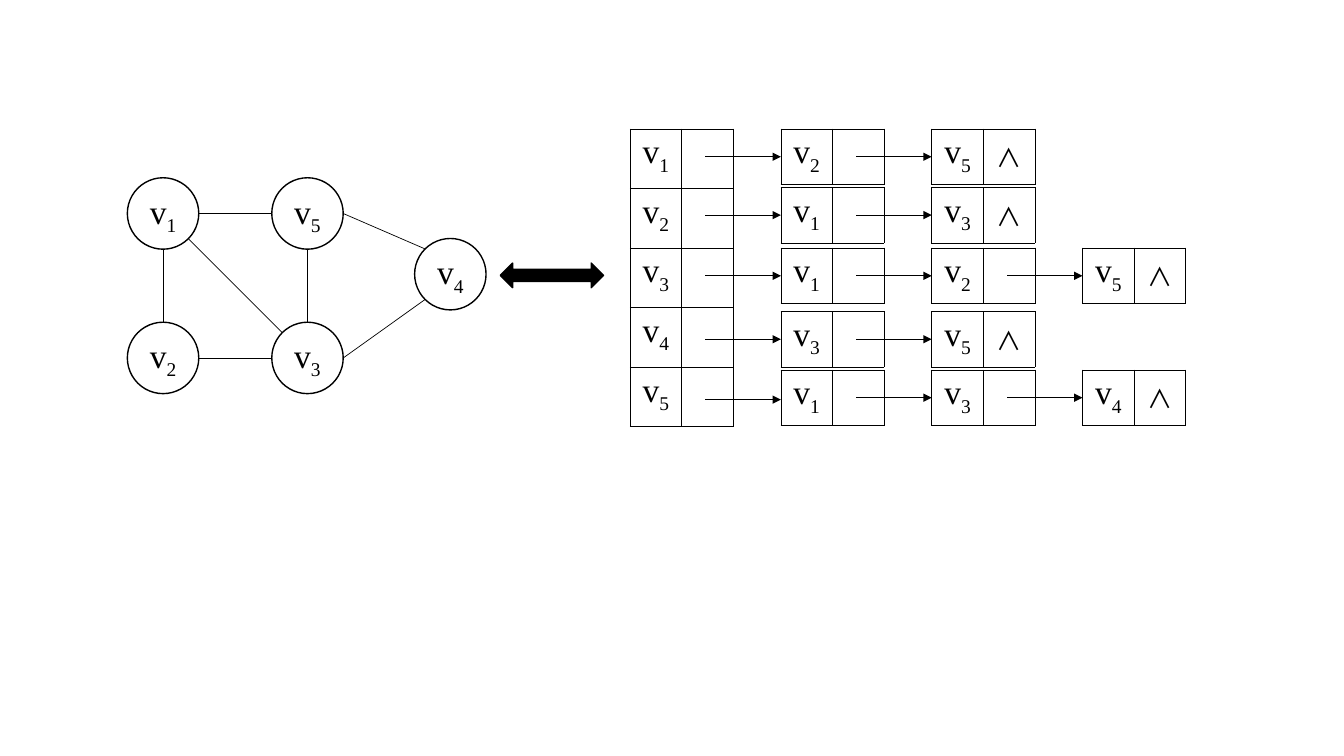
from math import cos, radians, sin

from lxml import etree
from pptx import Presentation
from pptx.dml.color import RGBColor
from pptx.enum.shapes import MSO_CONNECTOR, MSO_SHAPE
from pptx.enum.text import MSO_ANCHOR, PP_ALIGN
from pptx.oxml.ns import qn
from pptx.util import Cm, Pt

STRAIGHT = MSO_CONNECTOR.STRAIGHT
OVAL = MSO_SHAPE.OVAL
DOUBLE_ARROW = MSO_SHAPE.LEFT_RIGHT_ARROW
MIDDLE = MSO_ANCHOR.MIDDLE
TOP = MSO_ANCHOR.TOP
CENTER = PP_ALIGN.CENTER

COLORS = {"ink": "000000"}
SERIF = "Times New Roman"
CJK = "Noto Sans CJK SC"
NIL = "∧"

RADIUS = 0.9
VERTICES = {1: (4.11, 5.38), 2: (4.11, 9.02), 3: (7.75, 9.02),
            4: (11.35, 6.91), 5: (7.75, 5.38)}
EDGES = [(1, 0, 5, 180), (1, 90, 2, 270), (2, 0, 3, 180), (5, 90, 3, 270),
         (4, 225, 5, 0), (1, 45, 3, 225), (4, 135, 3, 0)]

LIST_LEFT, LIST_TOP, LIST_PITCH = 15.88, 3.25, 3.8
CELL_W, HEAD_H, NODE_H = 1.3, 1.5, 1.4
ARROW_START = 1.5 * CELL_W - 0.05
ADJACENCY = [(3.25, (2, 5)), (4.72, (1, 3)), (6.25, (1, 2, 5)),
             (7.85, (3, 5)), (9.32, (1, 3, 4))]
LAST_HEAD_DROP = 0.05


def rgb(name):
    return RGBColor.from_string(COLORS[name])


def add_run(p, text, size=24, font=SERIF, color="ink", baseline=0):
    r = p.add_run()
    r.text = text
    r.font.size = Pt(size)
    r.font.name = font
    r.font.color.rgb = rgb(color)
    rPr = r._r.get_or_add_rPr()
    etree.SubElement(rPr, qn("a:ea")).set("typeface", font)
    if baseline:
        rPr.set("baseline", str(baseline * 1000))


def write_vertex(tf, number):
    p = tf.paragraphs[0]
    p.alignment = CENTER
    add_run(p, "v")
    add_run(p, str(number), baseline=-25)


def write_nil(cell):
    cell.vertical_anchor = MIDDLE
    p = cell.text_frame.paragraphs[0]
    p.alignment = CENTER
    add_run(p, NIL, size=18, font=CJK)


def add_shape(s, kind, x, y, w, h, fill=None):
    sp = s.shapes.add_shape(kind, Cm(x), Cm(y), Cm(w), Cm(h))
    sp.shadow.inherit = False
    if fill:
        sp.fill.solid()
        sp.fill.fore_color.rgb = rgb(fill)
    else:
        sp.fill.background()
    sp.line.color.rgb = rgb("ink")
    sp.line.width = Pt(1)
    return sp


def add_vertex(s, number, cx, cy):
    sp = add_shape(s, OVAL, cx - RADIUS, cy - RADIUS, 2 * RADIUS, 2 * RADIUS)
    tf = sp.text_frame
    tf.margin_left = tf.margin_right = 0
    tf.vertical_anchor = MIDDLE
    write_vertex(tf, number)


def add_line(s, x1, y1, x2, y2, arrow=False):
    c = s.shapes.add_connector(STRAIGHT, Cm(x1), Cm(y1), Cm(x2), Cm(y2))
    c.line.color.rgb = rgb("ink")
    c.line.width = Pt(0.5)
    if arrow:
        etree.SubElement(c.line._get_or_add_ln(), qn("a:tailEnd")).set("type", "triangle")
    etree.SubElement(c._element.spPr, qn("a:effectLst"))


def rim_point(number, angle):
    cx, cy = VERTICES[number]
    a = radians(angle)
    return cx + RADIUS * cos(a), cy + RADIUS * sin(a)


def format_cell(cell):
    cell.margin_left = cell.margin_right = Cm(0.1)
    cell.vertical_anchor = TOP
    tcPr = cell._tc.get_or_add_tcPr()
    for side in ("a:lnL", "a:lnR", "a:lnT", "a:lnB"):
        ln = etree.SubElement(tcPr, qn(side), w=str(Pt(0.5)))
        fill = etree.SubElement(ln, qn("a:solidFill"))
        etree.SubElement(fill, qn("a:srgbClr")).set("val", COLORS["ink"])
    cell.fill.background()


def add_cells(s, x, y, numbers, row_h, last=False):
    frame = s.shapes.add_table(len(numbers), 2, Cm(x), Cm(y),
                               Cm(2 * CELL_W), Cm(row_h * len(numbers)))
    table = frame.table
    table.first_row = table.horz_banding = False
    for row, number in zip(table.rows, numbers):
        for cell in row.cells:
            format_cell(cell)
        write_vertex(row.cells[0].text_frame, number)
        if last:
            write_nil(row.cells[1])


def add_chain(s, y, numbers, first_drop=0):
    for i, number in enumerate(numbers):
        x = LIST_LEFT + (i + 1) * LIST_PITCH
        add_cells(s, x, y, [number], NODE_H, last=i == len(numbers) - 1)
        arrow_y = y + NODE_H / 2 + (first_drop if i == 0 else 0)
        add_line(s, x - LIST_PITCH + ARROW_START, arrow_y, x, arrow_y, arrow=True)


def main():
    prs = Presentation()
    prs.slide_width, prs.slide_height = Cm(33.87), Cm(19.05)
    s = prs.slides.add_slide(prs.slide_layouts[6])

    for number, center in VERTICES.items():
        add_vertex(s, number, *center)
    for start, start_angle, end, end_angle in EDGES:
        add_line(s, *rim_point(start, start_angle), *rim_point(end, end_angle))

    add_cells(s, LIST_LEFT, LIST_TOP, sorted(VERTICES), HEAD_H)
    for y, numbers in ADJACENCY:
        drop = LAST_HEAD_DROP if y == ADJACENCY[-1][0] else 0
        add_chain(s, y, numbers, drop)

    add_shape(s, DOUBLE_ARROW, 12.61, 6.63, 2.6, 0.62, fill="ink")
    prs.save("out.pptx")


main()
